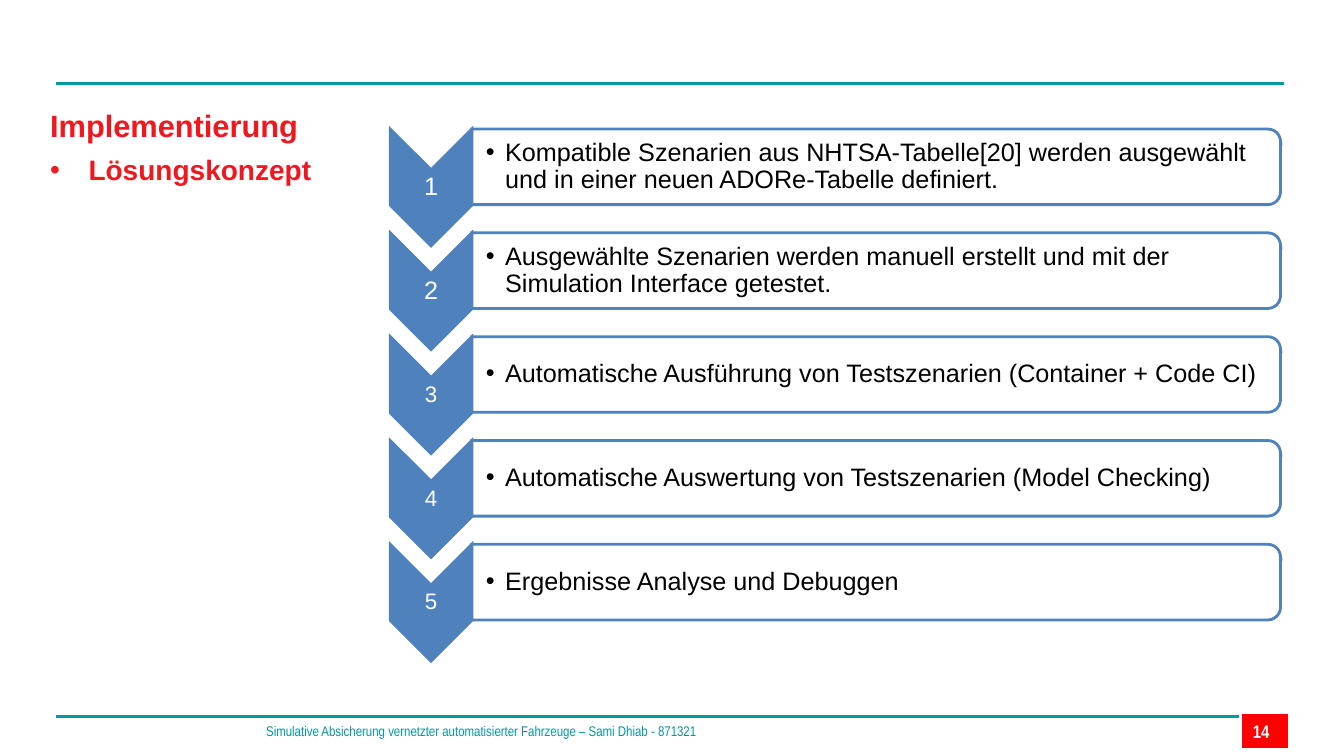
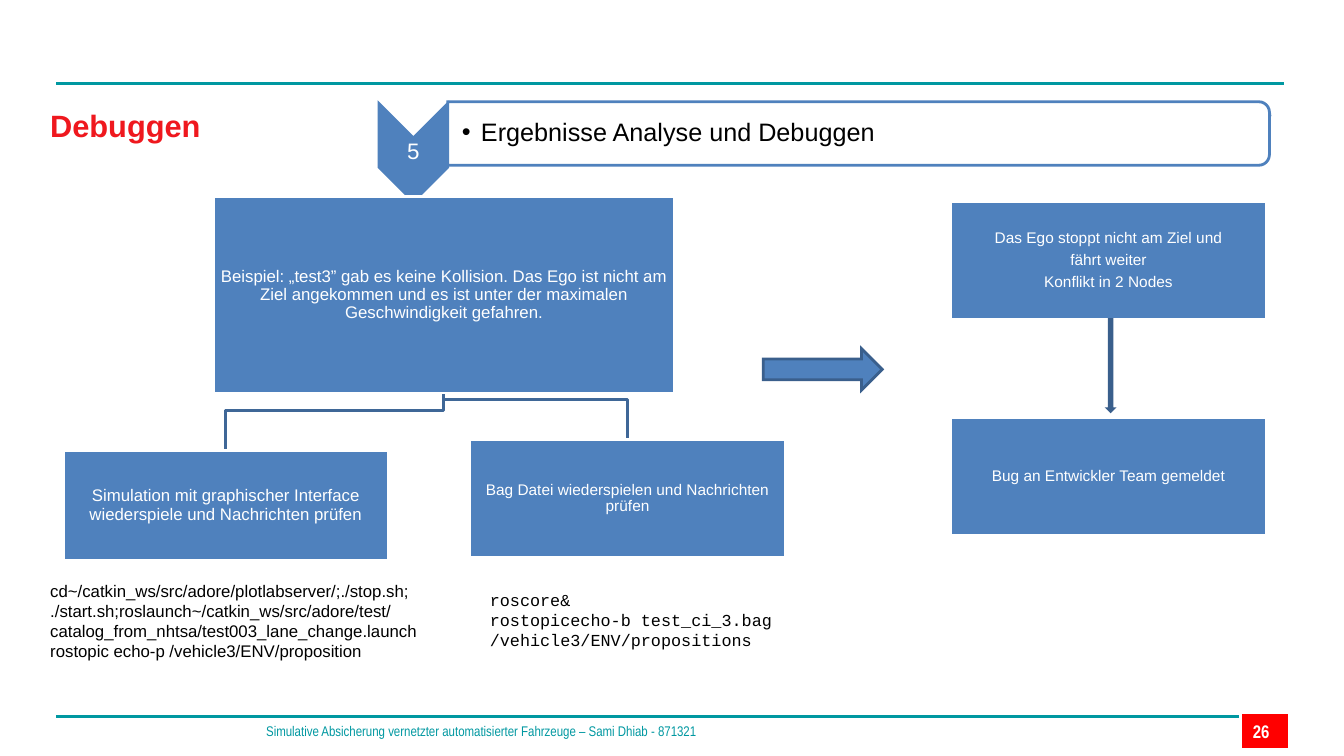
from lxml import etree
from pptx import Presentation
from pptx.dml.color import RGBColor
from pptx.enum.shapes import MSO_CONNECTOR, MSO_SHAPE
from pptx.enum.text import MSO_ANCHOR, PP_ALIGN
from pptx.oxml.ns import qn
from pptx.util import Inches, Pt

TEAL, RED, TITLE_RED = "0098A1", "FF0000", "EF181E"
BLUE, ELBOW_BLUE, ARROW_BLUE = "4F81BD", "3F6797", "3A5F8C"
WHITE, BLACK = "FFFFFF", "000000"
TIGHT = (0.01, 0.01, 0.01, 0.01)
rgb = RGBColor.from_string


def add_shape(s, kind, x, y, w, h, fill=BLUE, line=WHITE, rotation=0):
    sp = s.shapes.add_shape(kind, Inches(x), Inches(y), Inches(w), Inches(h))
    sp.shadow.inherit = False
    sp.rotation = rotation
    sp.fill.solid()
    sp.fill.fore_color.rgb = rgb(fill)
    sp.line.color.rgb = rgb(line)
    sp.line.width = Pt(2)
    etree.SubElement(sp._element.spPr.find(qn("a:ln")), qn("a:miter")).set("lim", "800000")
    return sp


def add_text(s, box, *lines, sp=None, size=12, sizes=None, font="Arial", color=BLACK,
             bold=False, align=PP_ALIGN.LEFT, anchor=MSO_ANCHOR.TOP, inset=(0.1, 0.05, 0.1, 0.05),
             spacing=1.0, gap=0, bullet_from=None, indent=0.19):
    sp = sp or s.shapes.add_textbox(*[Inches(v) for v in box])
    tf = sp.text_frame
    tf.word_wrap = True
    tf.vertical_anchor = anchor
    tf.margin_left, tf.margin_top, tf.margin_right, tf.margin_bottom = [Inches(v) for v in inset]
    for i, line in enumerate(lines):
        p = tf.add_paragraph() if i else tf.paragraphs[0]
        if bullet_from is not None and i >= bullet_from:
            pPr = p._p.get_or_add_pPr()
            pPr.set("marL", str(Inches(indent)))
            pPr.set("indent", str(-Inches(indent)))
            etree.SubElement(pPr, qn("a:buFont")).set("typeface", "Arial")
            etree.SubElement(pPr, qn("a:buChar")).set("char", "•")
        p.alignment = align
        p.line_spacing = spacing
        if i:
            p.space_before = Pt(gap)
        r = p.add_run()
        r.text = line
        r.font.name = font
        r.font.size = Pt(sizes[i] if sizes else size)
        r.font.bold = bold
        r.font.color.rgb = rgb(color)


prs = Presentation()
prs.slide_width, prs.slide_height = Inches(13.33), Inches(7.5)

slides = []
for number, title in [("14", ["Implementierung", "Lösungskonzept"]), ("26", ["Debuggen"])]:
    s = prs.slides.add_slide(prs.slide_layouts[6])
    slides.append(s)
    for y in (7.11, 0.83):
        rule = s.shapes.add_connector(MSO_CONNECTOR.STRAIGHT, Inches(0.56), Inches(y),
                                      Inches(12.73), Inches(y))
        rule.line.color.rgb = rgb(TEAL)
        rule.line.width = Pt(2.25)
        etree.SubElement(rule._element.spPr, qn("a:effectLst"))
    add_shape(s, MSO_SHAPE.RECTANGLE, 12.3, 7.07, 0.49, 0.37, fill=RED)
    add_text(s, (10.26, 7.15, 2.33, 0.26), number, size=13, font="Arial Narrow", color=WHITE,
             bold=True, align=PP_ALIGN.RIGHT, inset=(0.1, 0, 0, 0.05))
    add_text(s, (0.4, 1.01, 9.24, 0.46), *title, sizes=(22, 20), color=TITLE_RED, bold=True,
             gap=6.6, bullet_from=1, indent=0.38)
    add_text(s, (2.64, 7.17, 4.5, 0.17),
             "Simulative Absicherung vernetzter automatisierter Fahrzeuge – Sami Dhiab - 871321",
             size=10, font="Arial Narrow", color=TEAL, inset=(0, 0, 0, 0))
concept, debugging = slides

step_texts = [
    "Kompatible Szenarien aus NHTSA-Tabelle[20] werden ausgewählt und in einer neuen "
    "ADORe-Tabelle definiert.",
    "Ausgewählte Szenarien werden manuell erstellt und mit der Simulation Interface getestet.",
    "Automatische Ausführung von Testszenarien (Container + Code CI)",
    "Automatische Auswertung von Testszenarien (Model Checking)",
    "Ergebnisse Analyse und Debuggen",
]
steps = [(concept, n, 18 if n < 3 else 16, (3.87, 1.28 + 1.03 * (n - 1), 0.81, 1.16),
          (4.68, 1.28 + 1.03 * (n - 1), 8.02, 0.75)) for n in range(1, 6)]
steps.append((debugging, 5, 16, (3.76, 1.03, 0.68, 0.97), (4.44, 1.01, 8.15, 0.63)))

for s, n, size, chevron, body in steps:
    for kind, (x, y, w, h), fill in [(MSO_SHAPE.CHEVRON, chevron, BLUE),
                                     (MSO_SHAPE.ROUND_2_SAME_RECTANGLE, body, WHITE)]:
        add_shape(s, kind, x + (w - h) / 2, y + (h - w) / 2, h, w, fill, BLUE, rotation=90)
    add_text(s, chevron, str(n), size=size, color=WHITE, align=PP_ALIGN.CENTER,
             anchor=MSO_ANCHOR.MIDDLE, inset=TIGHT, spacing=0.9)
    x, y, w, h = body
    add_text(s, (x, y, w - 0.04, h), step_texts[n - 1], size=18, anchor=MSO_ANCHOR.MIDDLE,
             inset=(0.14, 0.01, 0.01, 0.01), spacing=0.9, bullet_from=0)

s = debugging
for x, bend, bottom in [(6.22, 3.96, 4.36), (2.24, 4.07, 4.47)]:
    builder = s.shapes.build_freeform(Inches(4.4), Inches(3.91))
    builder.add_line_segments([(Inches(px), Inches(py)) for px, py in
                               [(4.4, bend), (x, bend), (x, bottom)]], close=False)
    elbow = builder.convert_to_shape()
    elbow.shadow.inherit = False
    elbow.fill.background()
    elbow.line.color.rgb = rgb(ELBOW_BLUE)
    elbow.line.width = Pt(2)

boxes = [
    ((2.12, 1.95, 4.57, 1.95), 12,
     ["Beispiel: „test3” gab es keine Kollision. Das Ego ist nicht am Ziel angekommen und es ist "
      "unter der maximalen Geschwindigkeit gefahren."]),
    ((0.63, 4.47, 3.22, 1.09), 12,
     ["Simulation mit graphischer Interface wiederspiele und Nachrichten prüfen"]),
    ((4.66, 4.36, 3.13, 1.17), 11, ["Bag Datei wiederspielen und Nachrichten prüfen"]),
    ((9.43, 2, 3.13, 1.17), 11,
     ["Das Ego stoppt nicht am Ziel und", "fährt weiter", "Konflikt in 2 Nodes"]),
    ((9.43, 4.14, 3.13, 1.17), 11, ["Bug an Entwickler Team gemeldet"]),
]
for box, size, lines in boxes:
    sp = add_shape(s, MSO_SHAPE.RECTANGLE, *box)
    add_text(s, box, *lines, sp=sp, size=size, color=WHITE, align=PP_ALIGN.CENTER,
             anchor=MSO_ANCHOR.MIDDLE, inset=TIGHT, spacing=0.9, gap=4)

add_shape(s, MSO_SHAPE.RIGHT_ARROW, 7.57, 3.46, 1.18, 0.41, line=ARROW_BLUE)
add_shape(s, MSO_SHAPE.DOWN_ARROW, 10.99, 3.17, 0.05, 0.91, line=ARROW_BLUE)

add_text(s, (0.4, 5.71, 3.96, 0.91),
         "cd~/catkin_ws/src/adore/plotlabserver/;./stop.sh;",
         "./start.sh;roslaunch~/catkin_ws/src/adore/test/catalog_from_nhtsa/test003_lane_change.launch",
         "rostopic echo-p /vehicle3/ENV/proposition")
add_text(s, (4.76, 5.8, 3.03, 0.71), "roscore&",
         "rostopicecho-b test_ci_3.bag /vehicle3/ENV/propositions", font="Courier New")

prs.save("out.pptx")
